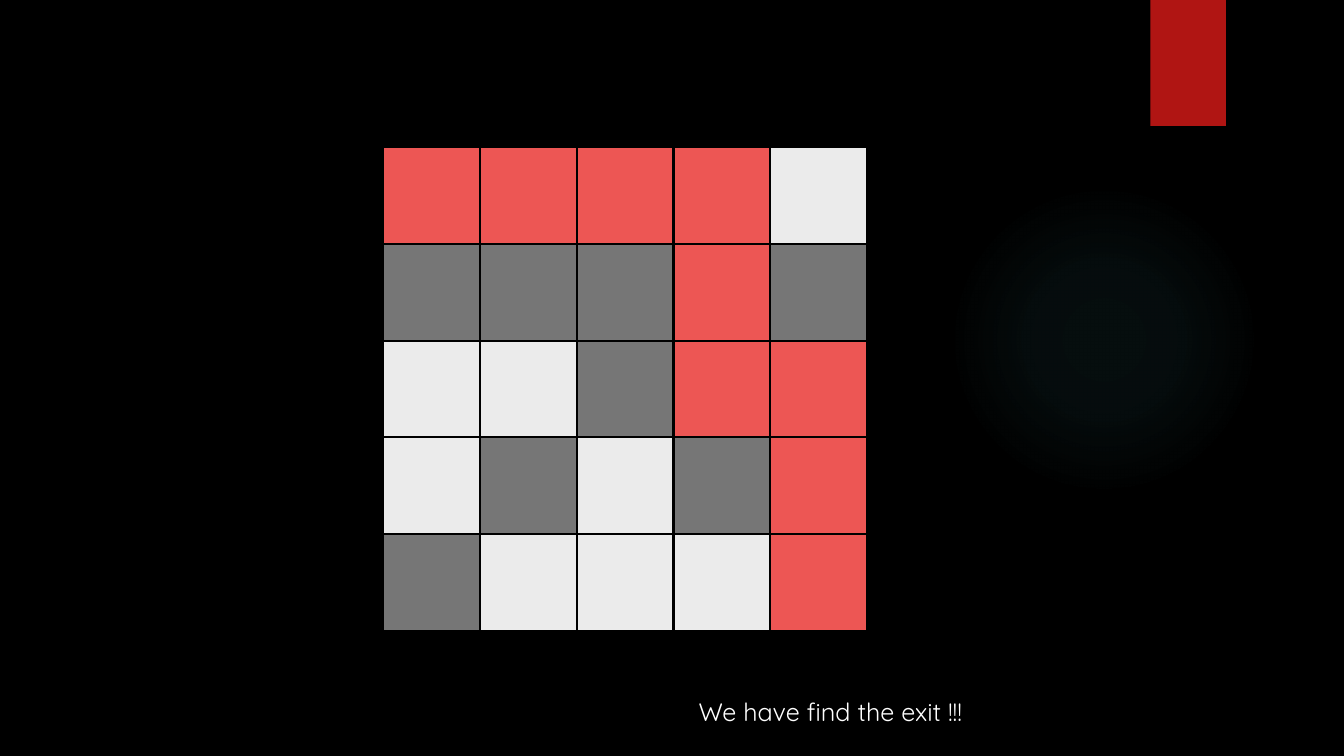
from lxml import etree
from pptx import Presentation
from pptx.dml.color import RGBColor
from pptx.enum import shapes
from pptx.oxml import ns
from pptx.util import Inches, Pt

COLORS = {
    "background": "000000",
    "glow": "50B9C1",
    "ribbon": "B01513",
    "path": "ED5654",
    "wall": "767676",
    "open": "EBEBEB",
    "text": "FFFFFF",
}
CELL_KINDS = {"P": "path", "W": "wall", "O": "open"}
MAZE = ["PPPPO", "WWWPW", "OOWPP", "OWOWP", "WOOOP"]
MAZE_LEFT, MAZE_TOP, CELL = 3.8, 1.46, 0.96
GLOW_STOPS = [(0, 7), (36, 6), (69, 0)]


def rgb(name):
    return RGBColor.from_string(COLORS[name])


def add_child(parent, tag, **attrs):
    child = etree.SubElement(parent, ns.qn(tag))
    for key, value in attrs.items():
        child.set(key, str(value))
    return child


def add_block(s, kind, left, top, width, height, color=None, line=None):
    sp = s.shapes.add_shape(
        kind, Inches(left), Inches(top), Inches(width), Inches(height)
    )
    sp.shadow.inherit = False
    if color:
        sp.fill.solid()
        sp.fill.fore_color.rgb = rgb(color)
    else:
        sp.fill.background()
    if line:
        sp.line.color.rgb = rgb(line)
        sp.line.width = Pt(1.5)
    else:
        sp.line.fill.background()
    return sp


def add_glow(s, left, top, size):
    sp = add_block(s, shapes.MSO_SHAPE.OVAL, left, top, size, size)
    sp_pr = sp.element.spPr
    grad = etree.Element(ns.qn("a:gradFill"), rotWithShape="1")
    stops = add_child(grad, "a:gsLst")
    for position, opacity in GLOW_STOPS:
        stop = add_child(stops, "a:gs", pos=position * 1000)
        color = add_child(stop, "a:srgbClr", val=COLORS["glow"])
        add_child(color, "a:alpha", val=opacity * 1000)
    circle = add_child(grad, "a:path", path="circle")
    add_child(circle, "a:fillToRect", l=50000, t=50000, r=50000, b=50000)
    sp_pr.replace(sp_pr.find(ns.qn("a:noFill")), grad)


def add_maze(s):
    for row, cells in enumerate(MAZE):
        for col, cell in enumerate(cells):
            add_block(
                s, shapes.MSO_SHAPE.RECTANGLE,
                MAZE_LEFT + col * CELL, MAZE_TOP + row * CELL, CELL, CELL,
                CELL_KINDS[cell], "background",
            )


def add_caption(s, caption, left, top, width, height):
    sp = s.shapes.add_textbox(
        Inches(left), Inches(top), Inches(width), Inches(height)
    )
    tf = sp.text_frame
    tf.word_wrap = False
    p = tf.paragraphs[0]
    p.text = caption
    p.font.name = "Quicksand"
    p.font.size = Pt(18)
    p.font.color.rgb = rgb("text")


def main():
    prs = Presentation()
    prs.slide_width = Inches(13.33)
    prs.slide_height = Inches(7.5)
    s = prs.slides.add_slide(prs.slide_layouts[6])
    s.background.fill.solid()
    s.background.fill.fore_color.rgb = rgb("background")
    add_glow(s, 9.41, 1.83, 3.08)
    add_block(s, shapes.MSO_SHAPE.RECTANGLE, 11.41, 0, 0.75, 1.25, "ribbon")
    add_maze(s)
    add_caption(s, "We have find the exit !!!", 6.83, 6.86, 3.1, 0.4)
    prs.save("out.pptx")


if __name__ == "__main__":
    main()
